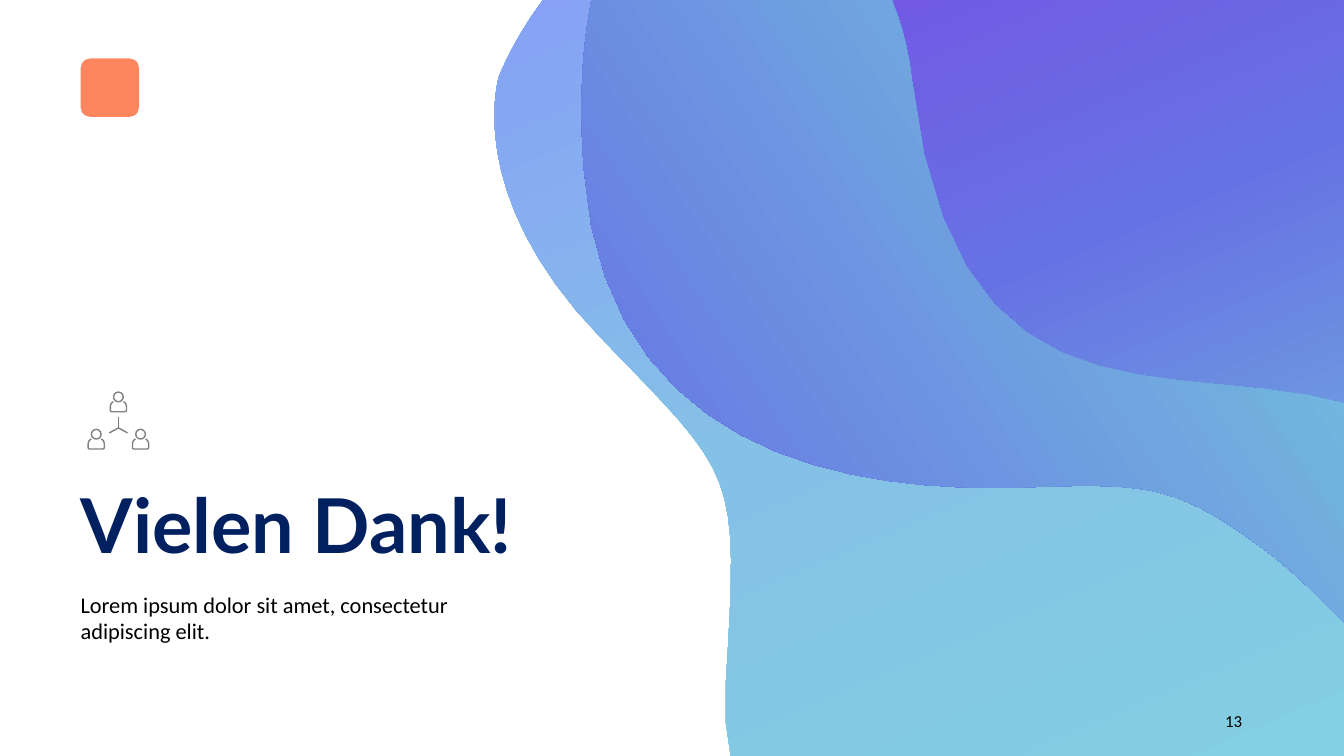
from math import cos, radians, sin

from lxml.etree import SubElement
from pptx import Presentation
from pptx.dml.color import RGBColor
from pptx.enum.shapes import MSO_CONNECTOR as Connector, MSO_SHAPE as Preset
from pptx.enum.text import MSO_ANCHOR as Anchor, PP_ALIGN as Align
from pptx.oxml import parse_xml
from pptx.oxml.ns import nsdecls, qn
from pptx.util import Inches, Pt

CELL = Inches(0.1)
COLUMNS, ROWS = 133.33, 75
MARGIN = 8
TILT = 157
CURVE_STEPS = 16
COLORS = {
    "title": "002060",
    "text": "000000",
    "icon": "808080",
    "badge": "FE865E",
    "teal": "80DEDE",
    "sky": "85C1E7",
    "lavender": "878CFF",
    "mint": "7CEFD8",
    "blue": "6672E4",
    "violet": "882BE5",
}


def trace(anchors):
    points = [anchors[0]]
    for index in range(0, len(anchors) - 1, 3):
        a, b, c, d = anchors[index:index + 4]
        for step in range(1, CURVE_STEPS + 1):
            t = step / CURVE_STEPS
            u = 1 - t
            weights = u ** 3, 3 * u * u * t, 3 * u * t * t, t ** 3
            points.append(tuple(
                sum(w * v for w, v in zip(weights, values)) for values in zip(a, b, c, d)
            ))
    return points


def add_outline(points, closed):
    scaled = [(x * CELL, y * CELL) for x, y in points]
    builder = slide.shapes.build_freeform(*scaled[0])
    builder.add_line_segments(scaled[1:], close=closed)
    shape = builder.convert_to_shape()
    shape.shadow.inherit = False
    return shape


presentation = Presentation()
presentation.slide_width = int(COLUMNS * CELL)
presentation.slide_height = ROWS * CELL
slide = presentation.slides.add_slide(presentation.slide_layouts[6])

texts = [
    ("Vielen Dank!", (MARGIN, 47.4, 53, 9.1), "Lato", 54, "title", True, 0, Anchor.TOP, Align.LEFT),
    ("Lorem ipsum dolor sit amet, consectetur adipiscing elit.", (MARGIN, 58.6, 38.7, 5.4),
     "Calibri", 16, "text", False, 0, Anchor.TOP, Align.LEFT),
    ("13", (94.2, 69.5, 30, 4), "Calibri", 12, "text", False, 1, Anchor.MIDDLE, Align.RIGHT),
]

blobs = [
    (90, [(0, "teal"), (54, "sky"), (100, "lavender")], [
        (92, 10.6), (97.1, 55.6), (129, 31.5), (146.7, 49.6),
        (164.5, 67.6), (158.1, 81.1), (152.8, 84),
        (147.5, 86.9), (142.9, 86.6), (137.5, 78.7),
        (132, 70.7), (115.3, 79.6), (103.8, 85.6),
        (92.4, 91.6), (70.6, 89.3), (72, 67.9),
        (73.3, 46.4), (73.2, 47.6), (59.5, 33.4),
        (45.8, 19.2), (49.5, 7.6), (49.5, 7.6),
        (49.5, 7.6), (56.8, -11.5), (73.7, -9.8),
        (90.7, -8.1), (92, 10.6), (92, 10.6),
    ]),
    (90, [(0, "mint"), (51, "blue"), (100, "violet")], [
        (73.2, -18.6), (73.2, -18.6), (55.6, -15.9), (57.9, 16.7),
        (60.1, 49.2), (91.8, 48.7), (103.1, 48.3),
        (114.4, 47.9), (117.2, 48.3), (126.2, 55.1),
        (135.2, 62), (141.3, 75.5), (152.8, 62.6),
        (164.3, 49.6), (142.6, 35.8), (139.6, 30.1),
        (136.6, 24.4), (142.2, 9.9), (137.1, 4.3),
        (132.1, -1.2), (128.6, -8), (104.9, -6),
        (104.9, -6), (93.3, -2.2), (84.4, -14.6),
        (84.4, -14.6), (78.8, -21.4), (73.2, -18.6),
    ]),
    (170, [(0, "violet"), (19, "blue"), (100, "mint")], [
        (57.9, 16.7), (56.8, 1.9), (59.9, -6.7), (63.5, -11.8),
        (66.1, -12.7), (68.9, -13), (72.1, -12.8),
        (89, -11.1), (90.4, 7.6), (90.4, 7.6),
        (95.5, 52.6), (127.4, 28.5), (145.1, 46.6),
        (149.9, 51.4), (152.9, 56), (154.7, 60),
        (154.2, 60.9), (153.6, 61.7), (152.9, 62.5),
        (141.3, 75.5), (135.2, 62), (126.2, 55.1),
        (117.2, 48.3), (114.4, 47.9), (103.1, 48.3),
        (91.8, 48.7), (60.1, 49.2), (57.9, 16.7),
    ]),
]

cosine, sine = cos(radians(TILT)), sin(radians(TILT))
for angle, stops, anchors in blobs:
    upright = [(x * cosine + y * sine, y * cosine - x * sine) for x, y in trace(anchors)]
    blob = add_outline(upright, True)
    center_x = blob.left + blob.width / 2
    center_y = blob.top + blob.height / 2
    blob.left = round(center_x * cosine - center_y * sine - blob.width / 2)
    blob.top = round(center_x * sine + center_y * cosine - blob.height / 2)
    blob.rotation = TILT
    blob.line.fill.background()
    stop_list = "".join(
        f'<a:gs pos="{share * 1000}"><a:srgbClr val="{COLORS[name]}"/></a:gs>'
        for share, name in stops
    )
    gradient = parse_xml(
        f'<a:gradFill {nsdecls("a")} rotWithShape="1"><a:gsLst>{stop_list}</a:gsLst>'
        f'<a:lin ang="{angle * 60000}" scaled="0"/></a:gradFill>'
    )
    blob.element.spPr.find(qn("a:custGeom")).addnext(gradient)

badge = slide.shapes.add_shape(
    Preset.ROUNDED_RECTANGLE, *[int(n * CELL) for n in (MARGIN, 5.8, 5.8, 5.8)]
)
badge.shadow.inherit = False
badge.fill.solid()
badge.fill.fore_color.rgb = RGBColor.from_string(COLORS["badge"])
badge.line.fill.background()

icon_strokes = []
shoulders = [
    (-0.5, 0.95), (-0.75, 1.1), (-0.8, 1.3), (-0.8, 1.5),
    (-0.8, 1.85), (-0.85, 1.95), (-0.55, 1.95),
    (-0.2, 1.95), (0.2, 1.95), (0.55, 1.95),
    (0.85, 1.95), (0.8, 1.85), (0.8, 1.5),
    (0.8, 1.3), (0.75, 1.1), (0.5, 0.95),
]
for x, y in [(11.75, 38.9), (9.55, 42.6), (13.95, 42.6)]:
    head = slide.shapes.add_shape(
        Preset.OVAL, *[int(n * CELL) for n in (x - 0.48, y, 0.96, 0.96)]
    )
    head.shadow.inherit = False
    body = add_outline([(x + dx, y + dy) for dx, dy in trace(shoulders)], False)
    for part in (head, body):
        part.fill.background()
        icon_strokes.append(part)

hub = (11.75, 42.45)
for end in [(11.75, 41.35), (10.85, 42.95), (12.65, 42.95)]:
    spoke = slide.shapes.add_connector(
        Connector.STRAIGHT, *[int(n * CELL) for n in hub + end]
    )
    SubElement(spoke.element.spPr, qn("a:effectLst"))
    icon_strokes.append(spoke)

for stroke in icon_strokes:
    stroke.line.color.rgb = RGBColor.from_string(COLORS["icon"])
    stroke.line.width = Pt(1)

for words, box, font_name, size, color, bold, inset, anchor, align in texts:
    text_box = slide.shapes.add_textbox(*[int(n * CELL) for n in box])
    frame = text_box.text_frame
    frame.word_wrap = True
    frame.vertical_anchor = anchor
    frame.margin_left = frame.margin_right = inset * CELL
    frame.margin_top = frame.margin_bottom = 0
    paragraph = frame.paragraphs[0]
    paragraph.text = words
    paragraph.alignment = align
    paragraph.font.name = font_name
    paragraph.font.size = Pt(size)
    paragraph.font.bold = bold
    paragraph.font.color.rgb = RGBColor.from_string(COLORS[color])

presentation.save("out.pptx")
